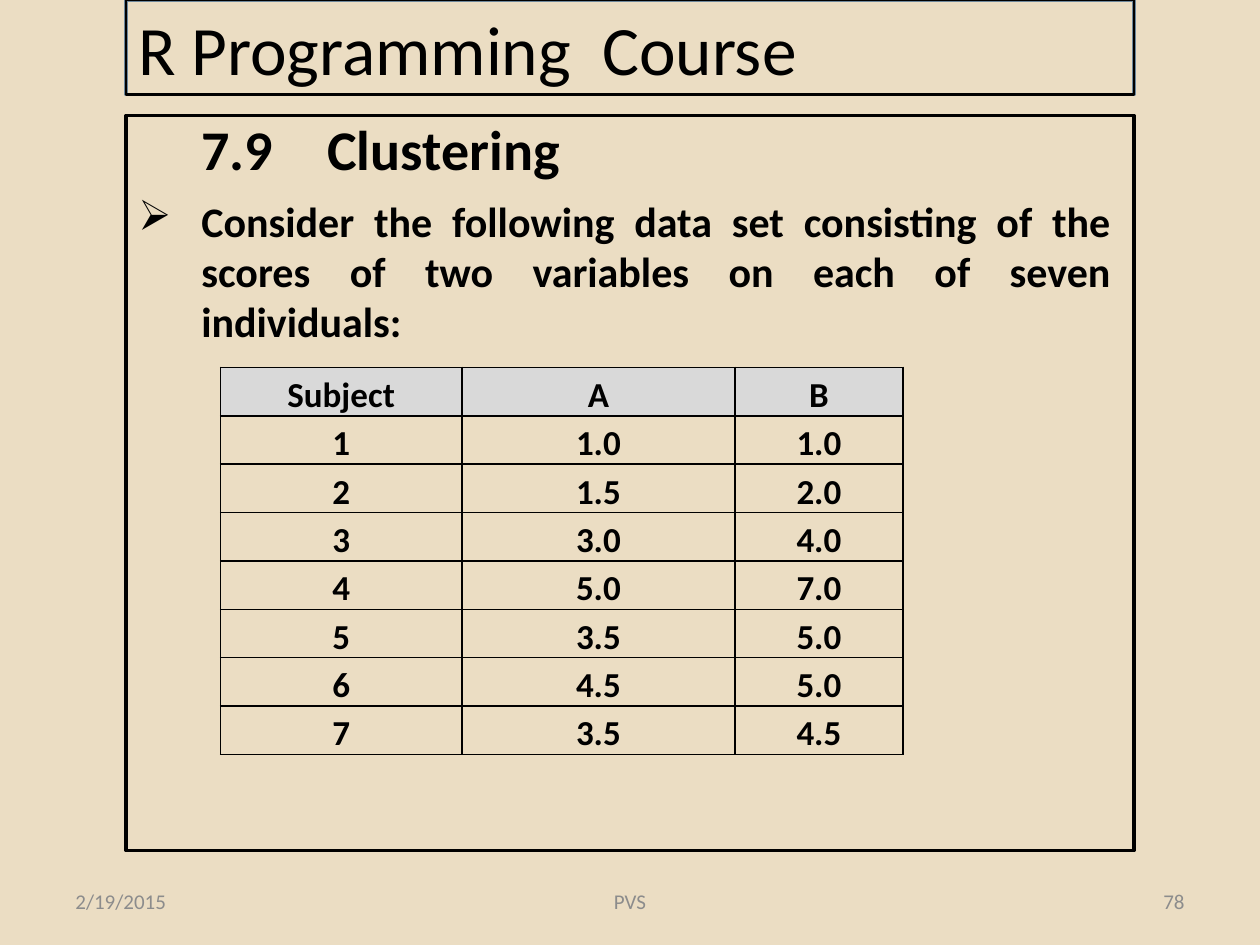
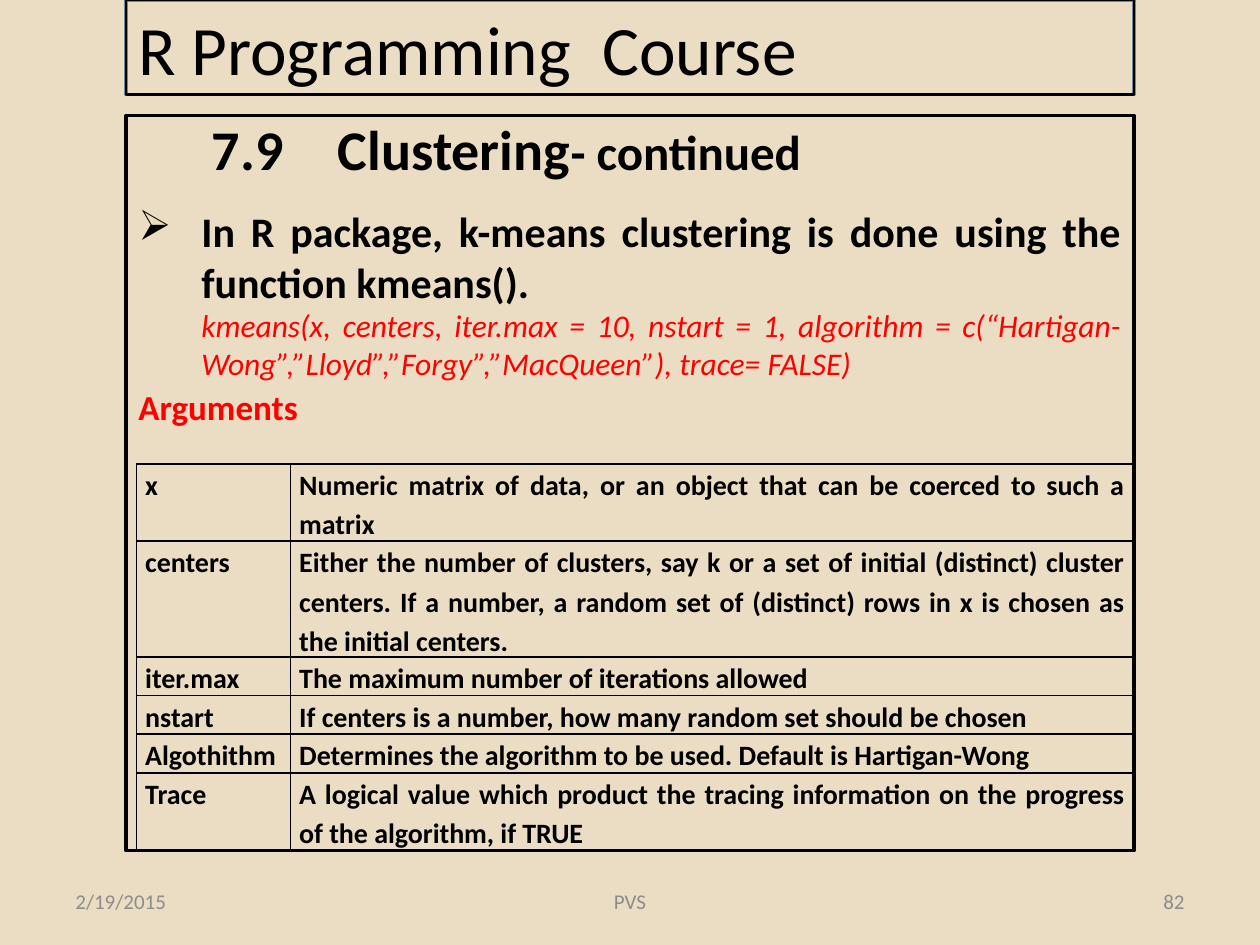
from lxml import etree
from pptx import Presentation
from pptx.dml.color import RGBColor
from pptx.enum.shapes import MSO_SHAPE
from pptx.enum.text import MSO_ANCHOR, PP_ALIGN
from pptx.oxml.ns import qn
from pptx.util import Pt

COLORS = {
    "background": "EBDDC3",
    "ink": "000000",
    "title_edge": "6D879B",
    "footer": "8C8C8C",
    "header_fill": "D9D9D9",
    "code": "FF0000",
}
FONT = "Calibri"
LEFT, WIDTH = 72, 576
INDENT = 36
LINE_HEIGHT = 22

SCORES = [
    ("Subject", "A", "B"),
    ("1", "1.0", "1.0"),
    ("2", "1.5", "2.0"),
    ("3", "3.0", "4.0"),
    ("4", "5.0", "7.0"),
    ("5", "3.5", "5.0"),
    ("6", "4.5", "5.0"),
    ("7", "3.5", "4.5"),
]
ARGUMENTS = [
    ("x", "Numeric matrix of data, or an object that can be coerced to such a matrix"),
    ("centers", "Either the number of clusters, say k or a set of initial (distinct) "
                "cluster centers. If a number, a random set of (distinct) rows in x "
                "is chosen as the initial centers."),
    ("iter.max", "The maximum number of iterations allowed"),
    ("nstart", "If centers is a number, how many random set should be chosen"),
    ("Algothithm", "Determines the algorithm to be used. Default is Hartigan-Wong"),
    ("Trace", "A logical value which product the tracing information on the "
              "progress of the algorithm, if TRUE"),
]
ARGUMENT_LINES = [2, 3, 1, 1, 1, 2]


def color(name):
    return RGBColor.from_string(COLORS[name])


def style_paragraph(paragraph, size, ink="ink", bold=False, italic=False,
                    align=PP_ALIGN.LEFT):
    paragraph.alignment = align
    font = paragraph.font
    font.name, font.size, font.bold, font.italic = FONT, Pt(size), bold, italic
    font.color.rgb = color(ink)


def set_indent(paragraph, margin, first=0, bullet=None):
    properties = paragraph._p.get_or_add_pPr()
    properties.set("marL", str(Pt(margin)))
    properties.set("indent", str(Pt(first)))
    if bullet:
        mark = etree.Element(qn("a:buChar"), char=bullet)
        properties.insert_element_before(mark, "a:tabLst", "a:defRPr", "a:extLst")


def add_frame(slide, top, height, line, line_width):
    shape = slide.shapes.add_shape(MSO_SHAPE.RECTANGLE, Pt(LEFT), Pt(top),
                                   Pt(WIDTH), Pt(height))
    shape.shadow.inherit = False
    shape.fill.background()
    shape.line.color.rgb = color(line)
    shape.line.width = Pt(line_width)
    return shape


def add_text_box(slide, left, top, width, height, anchor=MSO_ANCHOR.TOP):
    text_frame = slide.shapes.add_textbox(Pt(left), Pt(top), Pt(width),
                                          Pt(height)).text_frame
    text_frame.word_wrap = True
    text_frame.vertical_anchor = anchor
    return text_frame


def add_footers(slide, number):
    for left, width, text, align in [
        (36, 168, "2/19/2015", PP_ALIGN.LEFT),
        (516, 168, number, PP_ALIGN.RIGHT),
        (246, 228, "PVS", PP_ALIGN.CENTER),
    ]:
        text_frame = add_text_box(slide, left, 500.5, width, 28.75, MSO_ANCHOR.MIDDLE)
        paragraph = text_frame.paragraphs[0]
        paragraph.text = text
        style_paragraph(paragraph, 12, "footer", align=align)


def add_title(slide):
    add_frame(slide, 0, 54, "title_edge", 2)
    text_frame = add_frame(slide, 0, 54, "ink", 1.5).text_frame
    text_frame.word_wrap = True
    text_frame.vertical_anchor = MSO_ANCHOR.MIDDLE
    paragraph = text_frame.paragraphs[0]
    paragraph.text = "R Programming  Course"
    style_paragraph(paragraph, 39.6)


def add_heading(slide, left, suffix=""):
    paragraph = add_text_box(slide, left, 62, 570, 46).paragraphs[0]
    paragraph.text = "7.9\tClustering"
    style_paragraph(paragraph, 32, bold=True)
    set_indent(paragraph, INDENT)
    if suffix:
        run = paragraph.add_run()
        run.text = suffix
        run.font.size = Pt(28)


def add_bullet_text(slide, top, width, height, text):
    text_frame = add_text_box(slide, LEFT, top, width, height)
    paragraph = text_frame.paragraphs[0]
    paragraph.text = text
    style_paragraph(paragraph, 24, bold=True, align=PP_ALIGN.JUSTIFY)
    set_indent(paragraph, INDENT, -INDENT, "➢")
    return text_frame


def add_cell_borders(cell):
    properties = cell._tc.get_or_add_tcPr()
    for position, side in enumerate(("a:lnL", "a:lnR", "a:lnT", "a:lnB")):
        line = etree.Element(qn(side), w=str(Pt(1)))
        fill = etree.SubElement(line, qn("a:solidFill"))
        etree.SubElement(fill, qn("a:srgbClr"), val=COLORS["ink"])
        properties.insert(position, line)


def add_grid(slide, left, top, rows, widths, heights, size, align, header=False):
    table = slide.shapes.add_table(len(rows), len(widths), Pt(left), Pt(top),
                                   Pt(sum(widths)), Pt(sum(heights))).table
    table.first_row = table.horz_banding = False
    for column, width in zip(table.columns, widths):
        column.width = Pt(width)
    for row, height in zip(table.rows, heights):
        row.height = Pt(height)
    for row_index, values in enumerate(rows):
        for column_index, value in enumerate(values):
            cell = table.cell(row_index, column_index)
            cell.margin_left = cell.margin_right = Pt(5)
            cell.margin_top = cell.margin_bottom = 0
            paragraph = cell.text_frame.paragraphs[0]
            paragraph.text = value
            paragraph.line_spacing = 1.15
            style_paragraph(paragraph, size, bold=True, align=align)
            if header and row_index == 0:
                cell.fill.solid()
                cell.fill.fore_color.rgb = color("header_fill")
            else:
                cell.fill.background()
            add_cell_borders(cell)


def add_course_slide(presentation, number, heading_left, suffix=""):
    slide = presentation.slides.add_slide(presentation.slide_layouts[6])
    slide.background.fill.solid()
    slide.background.fill.fore_color.rgb = color("background")
    add_frame(slide, 66, 420, "ink", 2)
    add_footers(slide, number)
    add_heading(slide, heading_left, suffix)
    add_title(slide)
    return slide


def main():
    presentation = Presentation()
    presentation.slide_width, presentation.slide_height = Pt(720), Pt(540)

    # Data set of seven individuals
    slide = add_course_slide(presentation, "78", LEFT)
    add_bullet_text(slide, 108, 570, 94.5,
                    "Consider the following data set consisting of the scores of "
                    "two variables on each of seven individuals:")
    add_grid(slide, 126, 210, SCORES, [138, 156, 96], [27.65] * len(SCORES), 20,
             PP_ALIGN.CENTER, header=True)

    # The kmeans function and its arguments
    slide = add_course_slide(presentation, "82", 78, "- continued")
    text_frame = add_bullet_text(slide, 114, WIDTH, 135.5,
                                 "In R package, k-means clustering is done using "
                                 "the function kmeans().")
    usage = text_frame.add_paragraph()
    usage.text = ("kmeans(x, centers, iter.max = 10, nstart = 1, algorithm = "
                  "c(“Hartigan-Wong”,”Lloyd”,”Forgy”,”MacQueen”), trace= FALSE)")
    style_paragraph(usage, 18, "code", italic=True, align=PP_ALIGN.JUSTIFY)
    set_indent(usage, INDENT)
    label = text_frame.add_paragraph()
    label.text = "Arguments"
    label.space_before = label.space_after = Pt(2)
    style_paragraph(label, 20, "code", bold=True, align=PP_ALIGN.JUSTIFY)
    add_grid(slide, 78, 265, ARGUMENTS, [88, 482],
             [LINE_HEIGHT * lines for lines in ARGUMENT_LINES], 16, PP_ALIGN.JUSTIFY)

    presentation.save("out.pptx")


if __name__ == "__main__":
    main()
